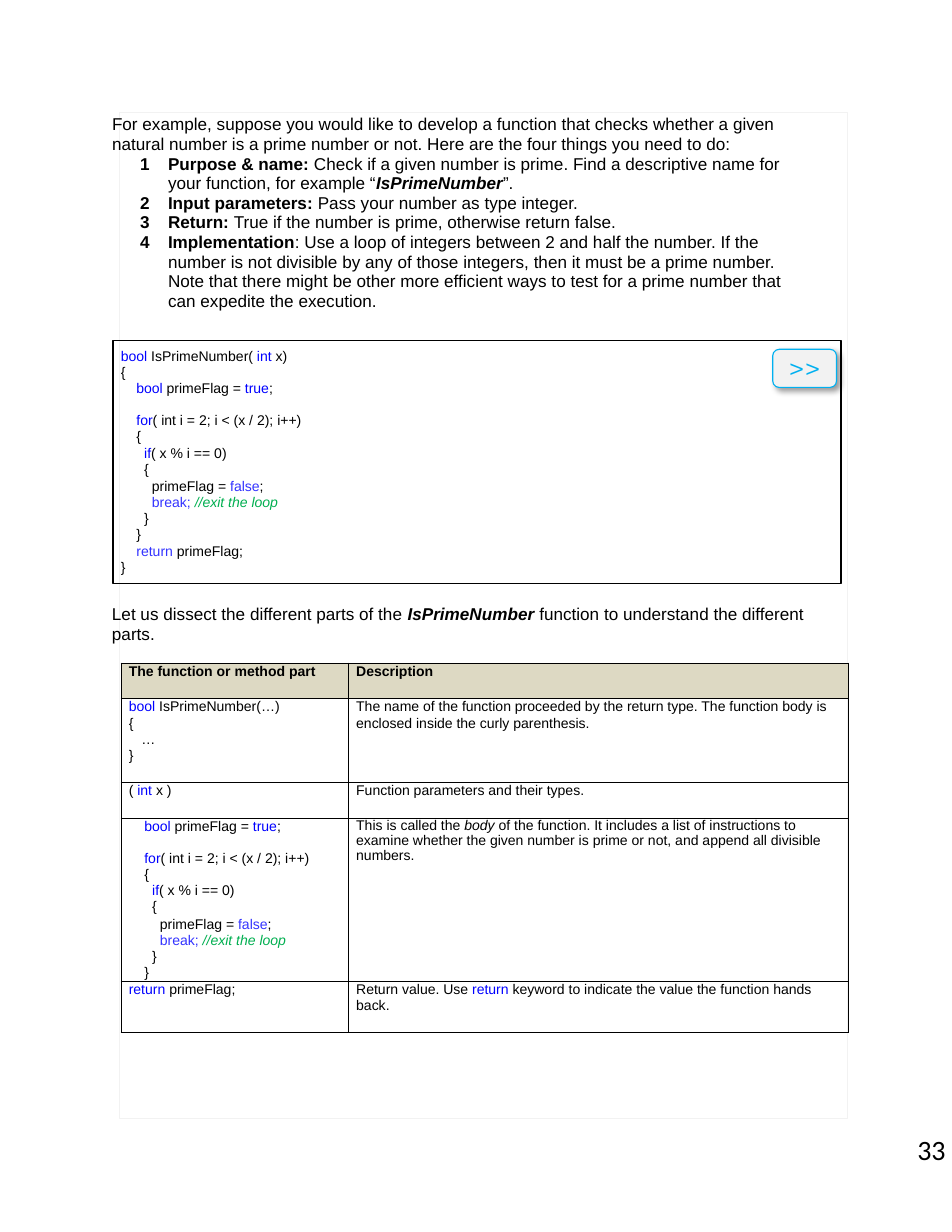
from lxml.etree import SubElement as Sub, fromstring
from pptx import Presentation
from pptx.dml.color import RGBColor
from pptx.enum.shapes import MSO_SHAPE as Form
from pptx.enum.text import MSO_ANCHOR as Anchor, PP_ALIGN as Align
from pptx.oxml.ns import nsdecls, qn
from pptx.util import Pt

BLACK = RGBColor(0x00, 0x00, 0x00)
BLUE = RGBColor(0x00, 0x00, 0xFF)
VIOLET = RGBColor(0x33, 0x33, 0xFF)
GREEN = RGBColor(0x00, 0xAF, 0x50)
CYAN = RGBColor(0x00, 0xB0, 0xF0)
PALE = RGBColor(0xF2, 0xF2, 0xF2)
TAN = RGBColor(0xDD, 0xD9, 0xC3)

PLAIN = (BLACK, False, False)
BOLD = (BLACK, True, False)
SLANT = (BLACK, False, True)
NAME = (BLACK, True, True)
KEY = (BLUE, False, False)
WORD = (VIOLET, False, False)
NOTE = (GREEN, False, True)

SIDE, STEP1, STEP2, STEP3 = 5, 15, 20, 25

INTRO = ["For example, suppose you would like to develop a function that checks "
         "whether a given natural number is a prime number or not. Here are the "
         "four things you need to do:"]
STEPS = [
    [("Purpose & name: ", BOLD),
     "Check if a given number is prime. Find a descriptive name for your "
     "function, for example “", ("IsPrimeNumber", NAME), "”."],
    [("Input parameters: ", BOLD), "Pass your number as type integer."],
    [("Return: ", BOLD), "True if the number is prime, otherwise return false."],
    [("Implementation", BOLD),
     ": Use a loop of integers between 2 and half the number. If the number is "
     "not divisible by any of those integers, then it must be a prime number. "
     "Note that there might be other more efficient ways to test for a prime "
     "number that can expedite the execution."],
]
BODY = [
    (STEP1, [("bool ", KEY), "primeFlag = ", ("true", KEY), ";"]),
    (STEP1, [("for", KEY), "( int i = 2; i < (x / 2); i++)"], 10),
    (STEP1, ["{"]),
    (STEP2, [("if", KEY), "( x % i == 0)"]),
    (STEP2, ["{"]),
    (STEP3, ["primeFlag = ", ("false", WORD), ";"], 0.6),
    (STEP3, [("break; ", WORD), ("//exit the loop", NOTE)]),
    (STEP2, ["}"]),
    (STEP1, ["}"]),
]
CODE = [
    (SIDE, [("bool ", KEY), "IsPrimeNumber( ", ("int ", KEY), "x)"]),
    (SIDE, ["{"]),
    *BODY,
    (STEP1, [("return ", WORD), "primeFlag;"]),
    (SIDE, ["}"]),
]
DISSECT = ["Let us dissect the different parts of the ", ("IsPrimeNumber ", NAME),
           "function to understand the different parts."]
ROWS = [
    ([(SIDE, [("The function or method part", BOLD)])], [("Description", BOLD)]),
    ([(SIDE, [("bool ", KEY), "IsPrimeNumber(…)"]), (SIDE, ["{"]),
      (13, ["…"]), (SIDE, ["}"])],
     ["The name of the function proceeded by the return type. The function body "
      "is enclosed inside the curly parenthesis."]),
    ([(SIDE, ["( ", ("int ", KEY), "x )"])], ["Function parameters and their types."]),
    (BODY,
     ["This is called the ", ("body ", SLANT),
      "of the function. It includes a list of instructions to examine whether the "
      "given number is prime or not, and append all divisible numbers."]),
    ([(SIDE, [("return ", KEY), "primeFlag;"])],
     ["Return value. Use ", ("return ", KEY),
      "keyword to indicate the value the function hands back."]),
]


class Page:
    """Draws text, boxes and tables on one slide in a shared style."""

    def __init__(self, slide, face="Arial"):
        self.slide = slide
        self.face = face

    def fill(self, frame, lines, size, lead):
        for n, (left, runs, *gap) in enumerate(lines):
            para = frame.paragraphs[0] if n == 0 else frame.add_paragraph()
            para._p.get_or_add_pPr().set("marL", str(Pt(left)))
            para.line_spacing = lead
            if gap:
                para.space_before = Pt(gap[0])
            for item in runs:
                text, (tint, bold, slant) = (item, PLAIN) if isinstance(item, str) else item
                run = para.add_run()
                run.text = text
                font = run.font
                font.name, font.size = self.face, Pt(size)
                font.bold, font.italic = bold, slant
                font.color.rgb = tint

    def pad(self, frame, top=0):
        frame.word_wrap = True
        frame.margin_left = frame.margin_right = frame.margin_bottom = 0
        frame.margin_top = Pt(top)
        frame.vertical_anchor = Anchor.TOP

    def text(self, place, lines, size=11, lead=Pt(12.6), top=0):
        frame = self.slide.shapes.add_textbox(*map(Pt, place)).text_frame
        self.pad(frame, top)
        self.fill(frame, lines, size, lead)
        return frame

    def box(self, place, line, width, form=Form.RECTANGLE, fill=None):
        shape = self.slide.shapes.add_shape(form, *map(Pt, place))
        shape.shadow.inherit = False
        shape.line.color.rgb = line
        shape.line.width = Pt(width)
        if fill is None:
            shape.fill.background()
        else:
            shape.fill.solid()
            shape.fill.fore_color.rgb = fill
        return shape

    def code(self, place, lines):
        frame = self.box(place, BLACK, 0.96).text_frame
        self.pad(frame, 5)
        self.fill(frame, lines, 9, Pt(10.4))
        for para in frame.paragraphs:
            para.alignment = Align.LEFT

    def button(self, place, label):
        shape = self.box(place, CYAN, 0.75, Form.ROUNDED_RECTANGLE, PALE)
        shape._element.spPr.find(qn("a:effectLst")).append(fromstring(
            f'<a:outerShdw {nsdecls("a")} blurRad="{Pt(4)}" dist="{Pt(3)}" '
            'dir="2700000" algn="tl" rotWithShape="0"><a:srgbClr val="000000">'
            '<a:alpha val="40000"/></a:srgbClr></a:outerShdw>'))
        frame = shape.text_frame
        frame.word_wrap = False
        frame.margin_top = frame.margin_bottom = 0
        frame.vertical_anchor = Anchor.MIDDLE
        frame.text = label
        para = frame.paragraphs[0]
        para.alignment = Align.CENTER
        font = para.runs[0].font
        font.name, font.size = "Montserrat", Pt(18)
        font.color.rgb = CYAN

    def edge(self, cell):
        props = cell._tc.get_or_add_tcPr()
        for n, side in enumerate("LRTB"):
            props.insert(n, fromstring(
                f'<a:ln{side} {nsdecls("a")} w="{Pt(0.5)}"><a:solidFill>'
                f'<a:srgbClr val="{BLACK}"/></a:solidFill></a:ln{side}>'))

    def table(self, left, top, cols, highs, rows):
        size = map(Pt, (left, top, sum(cols), sum(highs)))
        table = self.slide.shapes.add_table(len(highs), len(cols), *size).table
        table.first_row = table.horz_banding = False
        for col, width in zip(table.columns, cols):
            col.width = Pt(width)
        for n, (row, high, (part, about)) in enumerate(zip(table.rows, highs, rows)):
            row.height = Pt(high)
            lead = 0.96 if part is BODY else Pt(10.4)
            for cell, lines, gap in zip(row.cells, (part, [(SIDE, about)]), (Pt(10.4), lead)):
                cell.margin_left = cell.margin_right = 0
                cell.margin_top = cell.margin_bottom = 0
                if n == 0:
                    cell.fill.solid()
                    cell.fill.fore_color.rgb = TAN
                else:
                    cell.fill.background()
                self.edge(cell)
                self.fill(cell.text_frame, lines, 9, gap)


def main():
    deck = Presentation()
    deck.slide_width, deck.slide_height = Pt(612), Pt(792)
    page = Page(deck.slides.add_slide(deck.slide_layouts[6]))
    page.box((77, 72, 468, 647.3), PALE, 0.5)
    steps = [(36.7, runs) for runs in STEPS]
    frame = page.text((71.3, 73, 468.7, 130), [(0.7, INTRO), *steps], top=0.7)
    frame.paragraphs[0]._p.pPr.set("marR", str(Pt(30)))
    for para in frame.paragraphs[1:]:
        props = para._p.pPr
        props.set("indent", str(Pt(-18)))
        Sub(props, qn("a:buFont"), typeface="Arial")
        Sub(props, qn("a:buAutoNum"), type="arabicPlain")
    number = Page(page.slide, "Calibri")
    number.text((586.8, 727.9, 25.2, 14.4), [(2.9, ["33"])], 18, 1.0)
    page.code((72.7, 218.9, 468, 156.2), CODE)
    page.text((71.3, 386.6, 446.4, 28), [(0.7, DISSECT)], top=2)
    page.table(77.8, 426.2, (146.2, 321.1), (23, 54, 23, 104.4, 33.1), ROWS)
    page.button((496.8, 224.6, 41, 24.5), ">>")
    deck.save("out.pptx")


if __name__ == "__main__":
    main()
